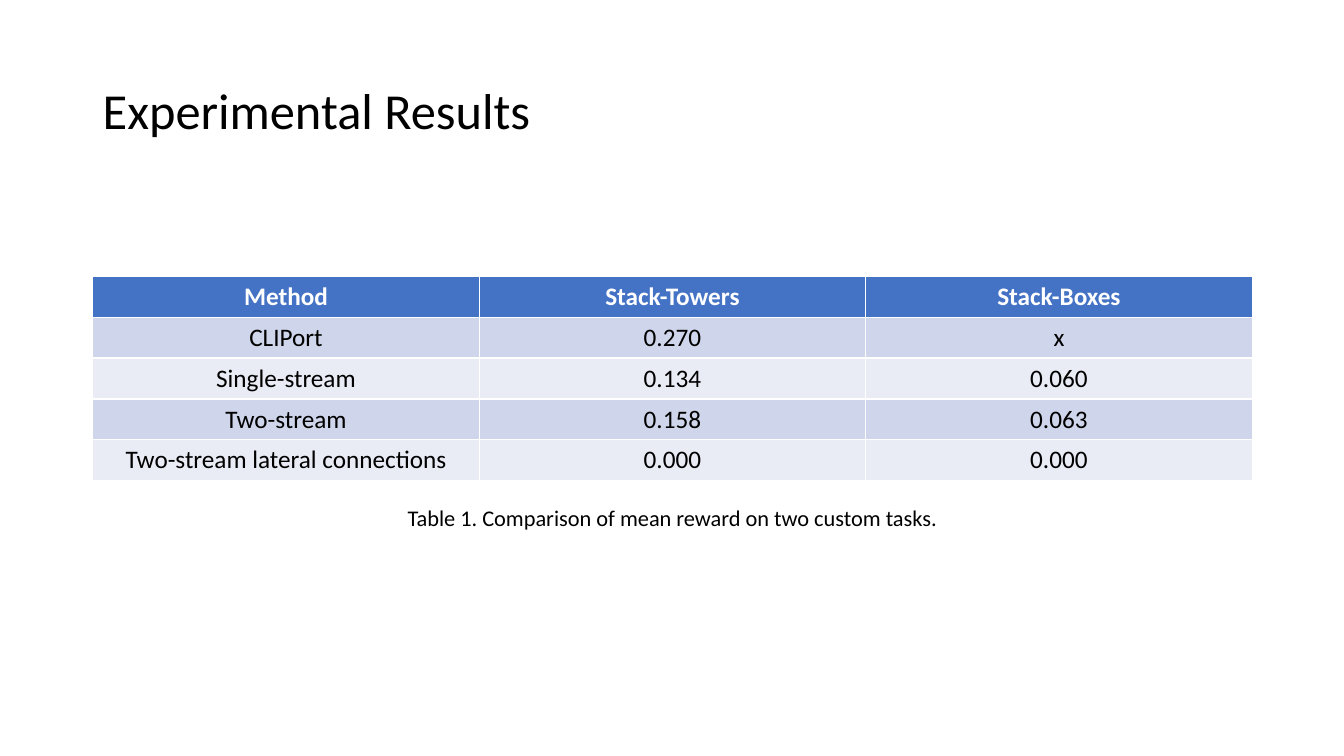
from pptx import Presentation
from pptx.dml.color import RGBColor
from pptx.enum.text import MSO_ANCHOR, PP_ALIGN
from pptx.util import Inches, Pt

FONT = "Calibri"
BLACK = RGBColor(0x00, 0x00, 0x00)
WHITE = RGBColor(0xFF, 0xFF, 0xFF)
HEADER_BLUE = RGBColor(0x44, 0x72, 0xC4)
BAND_DARK = RGBColor(0xCF, 0xD5, 0xEA)
BAND_LIGHT = RGBColor(0xE9, 0xEB, 0xF5)

RESULTS = [
    ("Method", "Stack-Towers", "Stack-Boxes"),
    ("CLIPort", "0.270", "x"),
    ("Single-stream", "0.134", "0.060"),
    ("Two-stream", "0.158", "0.063"),
    ("Two-stream lateral connections", "0.000", "0.000"),
]


def write(frame, text, size, color=BLACK, bold=False, align=PP_ALIGN.LEFT):
    """Fill a text frame with one formatted paragraph and return it."""
    frame.text = text
    paragraph = frame.paragraphs[0]
    paragraph.alignment = align
    font = paragraph.runs[0].font
    font.name, font.size, font.bold = FONT, Pt(size), bold
    font.color.rgb = color
    return paragraph


def add_text(slide, left, top, width, height, text, size,
             align=PP_ALIGN.LEFT, anchor=MSO_ANCHOR.TOP):
    frame = slide.shapes.add_textbox(
        Inches(left), Inches(top), Inches(width), Inches(height)).text_frame
    frame.word_wrap = True
    frame.vertical_anchor = anchor
    return write(frame, text, size, align=align)


def add_results_table(slide, left, top, width, height):
    # The default table style supplies the white grid lines
    table = slide.shapes.add_table(
        len(RESULTS), len(RESULTS[0]),
        Inches(left), Inches(top), Inches(width), Inches(height)).table
    for row_index, values in enumerate(RESULTS):
        is_header = row_index == 0
        band = BAND_DARK if row_index % 2 else BAND_LIGHT
        for column_index, value in enumerate(values):
            cell = table.cell(row_index, column_index)
            cell.fill.solid()
            cell.fill.fore_color.rgb = HEADER_BLUE if is_header else band
            write(cell.text_frame, value, 18, WHITE if is_header else BLACK,
                  bold=is_header, align=PP_ALIGN.CENTER)


def build_results_slide(prs):
    slide = prs.slides.add_slide(prs.slide_layouts[6])
    left, width = 0.92, 11.5

    # Title
    title = add_text(slide, left, 0.4, width, 1.45, "Experimental Results", 36,
                     anchor=MSO_ANCHOR.MIDDLE)
    title.line_spacing = 0.9

    # Results and caption, centred on the same axis
    add_results_table(slide, left, 2.74, width, 2.03)
    caption_width = 5.5
    add_text(slide, left + (width - caption_width) / 2, 4.95, caption_width, 0.37,
             "Table 1. Comparison of mean reward on two custom tasks.", 16,
             align=PP_ALIGN.CENTER)


def main():
    prs = Presentation()
    prs.slide_width, prs.slide_height = Inches(13.33), Inches(7.5)
    build_results_slide(prs)
    prs.save("out.pptx")


if __name__ == "__main__":
    main()
